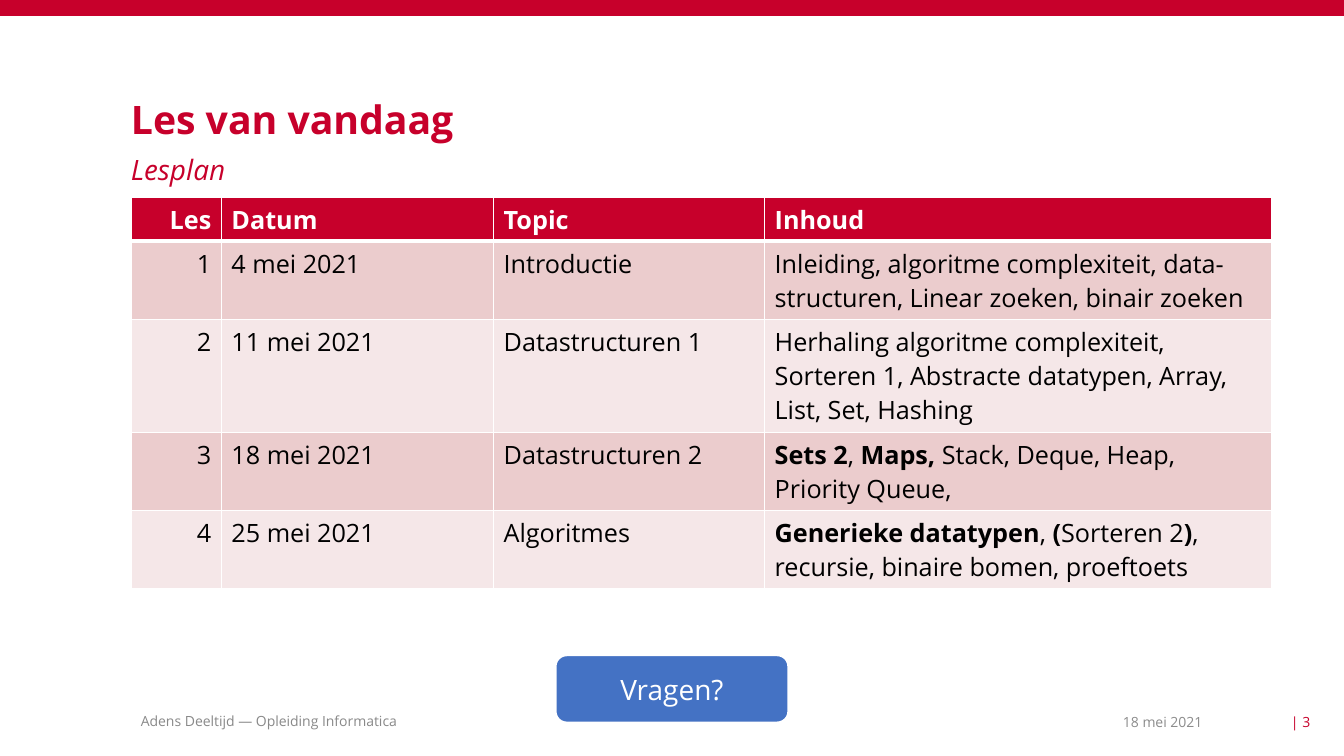
from lxml import etree
from pptx import Presentation
from pptx.dml.color import RGBColor
from pptx.enum.shapes import MSO_SHAPE
from pptx.enum.text import MSO_ANCHOR, PP_ALIGN
from pptx.oxml.ns import qn
from pptx.util import Cm, Pt

RECTANGLE = MSO_SHAPE.RECTANGLE
ROUNDED = MSO_SHAPE.ROUNDED_RECTANGLE
TOP, MIDDLE = MSO_ANCHOR.TOP, MSO_ANCHOR.MIDDLE
LEFT, CENTER, RIGHT = PP_ALIGN.LEFT, PP_ALIGN.CENTER, PP_ALIGN.RIGHT

FONT = "Open Sans"
RED, WHITE, BLACK, BLUE = "C7002B", "FFFFFF", "000000", "4472C4"
BANDS = ("EBCCCD", "F5E7E8")
DATE_GRAY, FOOTER_GRAY = "8C8C8C", "898989"

COLUMN_WIDTHS = (2.28, 6.86, 6.83, 12.77)
ROW_HEIGHTS = (1.1, 1.97, 2.85, 1.97, 1.97)
LESSONS = (
    ("Les", "Datum", "Topic", "Inhoud"),
    ("1", "4 mei 2021", "Introductie",
     "Inleiding, algoritme complexiteit, data-structuren, Linear zoeken, binair zoeken"),
    ("2", "11 mei 2021", "Datastructuren 1",
     "Herhaling algoritme complexiteit, Sorteren 1, Abstracte datatypen, Array, List, Set, Hashing"),
    ("3", "18 mei 2021", "Datastructuren 2",
     "*Sets 2*, *Maps, *Stack, Deque, Heap, Priority Queue, "),
    ("4", "25 mei 2021", "Algoritmes",
     "*Generieke datatypen*, *(*Sorteren 2*)*, recursie, binaire bomen, proeftoets"),
)


def color(value):
    return RGBColor.from_string(value)


def style_run(span, size, ink, bold=False, italic=False):
    span.font.name = FONT
    span.font.size = Pt(size)
    span.font.color.rgb = color(ink)
    span.font.bold = bold
    span.font.italic = italic


def add_text(page, box, text, size, ink, align=LEFT, anchor=TOP, inset=0,
             bold=False, italic=False):
    frame = page.shapes.add_textbox(*map(Cm, box)).text_frame
    frame.word_wrap = True
    frame.vertical_anchor = anchor
    frame.margin_left = frame.margin_right = Cm(inset)
    frame.margin_top = frame.margin_bottom = 0
    frame.text = text
    para = frame.paragraphs[0]
    para.alignment = align
    style_run(para.runs[0], size, ink, bold, italic)
    return para


def add_block(page, kind, box, fill):
    block = page.shapes.add_shape(kind, *map(Cm, box))
    block.shadow.inherit = False
    block.fill.solid()
    block.fill.fore_color.rgb = color(fill)
    block.line.fill.background()
    return block


def add_heading(page, box):
    left, top, width, height = box
    title = add_text(page, (left, top, width, 1), "Les van vandaag", 28, RED, bold=True)
    title.line_spacing = 0.9
    subtitle = add_text(page, (left, top + height - 1, width, 1), "Lesplan", 20, RED, italic=True)
    subtitle.space_after = Pt(6)


def set_borders(cell, bottom_width):
    properties = cell._tc.get_or_add_tcPr()
    widths = (("a:lnL", 1), ("a:lnR", 1), ("a:lnT", 1), ("a:lnB", bottom_width))
    for index, (tag, width) in enumerate(widths):
        edge = etree.Element(qn(tag), w=str(Pt(width)))
        fill = etree.SubElement(edge, qn("a:solidFill"))
        etree.SubElement(fill, qn("a:srgbClr"), val=WHITE)
        properties.insert(index, edge)


def fill_cell(cell, text, fill, ink, align, header):
    cell.fill.solid()
    cell.fill.fore_color.rgb = color(fill)
    para = cell.text_frame.paragraphs[0]
    para.alignment = align
    for index, part in enumerate(text.split("*")):
        if part:
            span = para.add_run()
            span.text = part
            style_run(span, 18, ink, bold=header or index % 2 == 1)
    set_borders(cell, 3 if header else 1)


def add_lesson_table(page, box):
    table = page.shapes.add_table(len(LESSONS), len(COLUMN_WIDTHS), *map(Cm, box)).table
    for column, width in zip(table.columns, COLUMN_WIDTHS):
        column.width = Cm(width)
    for row_index, lesson in enumerate(LESSONS):
        table.rows[row_index].height = Cm(ROW_HEIGHTS[row_index])
        header = row_index == 0
        fill = RED if header else BANDS[(row_index - 1) % 2]
        for column_index, text in enumerate(lesson):
            fill_cell(table.cell(row_index, column_index), text, fill,
                      WHITE if header else BLACK,
                      RIGHT if column_index == 0 else LEFT, header)


def add_question_button(page, box):
    button = add_block(page, ROUNDED, box, BLUE)
    button.line.color.rgb = color(WHITE)
    button.line.width = Pt(1.5)
    frame = button.text_frame
    frame.vertical_anchor = MIDDLE
    frame.text = "Vragen?"
    para = frame.paragraphs[0]
    para.alignment = CENTER
    style_run(para.runs[0], 20, WHITE)


def add_footer(page, box):
    left, top, width, height = box
    right = left + width
    add_text(page, (left, top, 17, height), "Adens Deeltijd — Opleiding Informatica",
             10, FOOTER_GRAY, anchor=MIDDLE, inset=0.25)
    add_text(page, (right - 10.34, top + 0.03, 7.62, height), "18 mei 2021",
             10, DATE_GRAY, RIGHT, MIDDLE)
    add_text(page, (right - 2.26, top + 0.03, 2.26, height), "| 3", 10, RED, RIGHT, MIDDLE)


def build_lesson_page(deck):
    page = deck.slides.add_slide(deck.slide_layouts[6])
    add_block(page, RECTANGLE, (0, 0, 33.87, 0.4), RED)
    add_footer(page, (3.3, 17.86, 29.72, 0.61))
    add_heading(page, (3.3, 2.54, 21.5, 2.3))
    add_lesson_table(page, (3.3, 4.98, sum(COLUMN_WIDTHS), sum(ROW_HEIGHTS)))
    add_question_button(page, (14, 16.51, 5.87, 1.7))


deck = Presentation()
deck.slide_width = Cm(33.87)
deck.slide_height = Cm(19.05)
build_lesson_page(deck)
deck.save("out.pptx")
